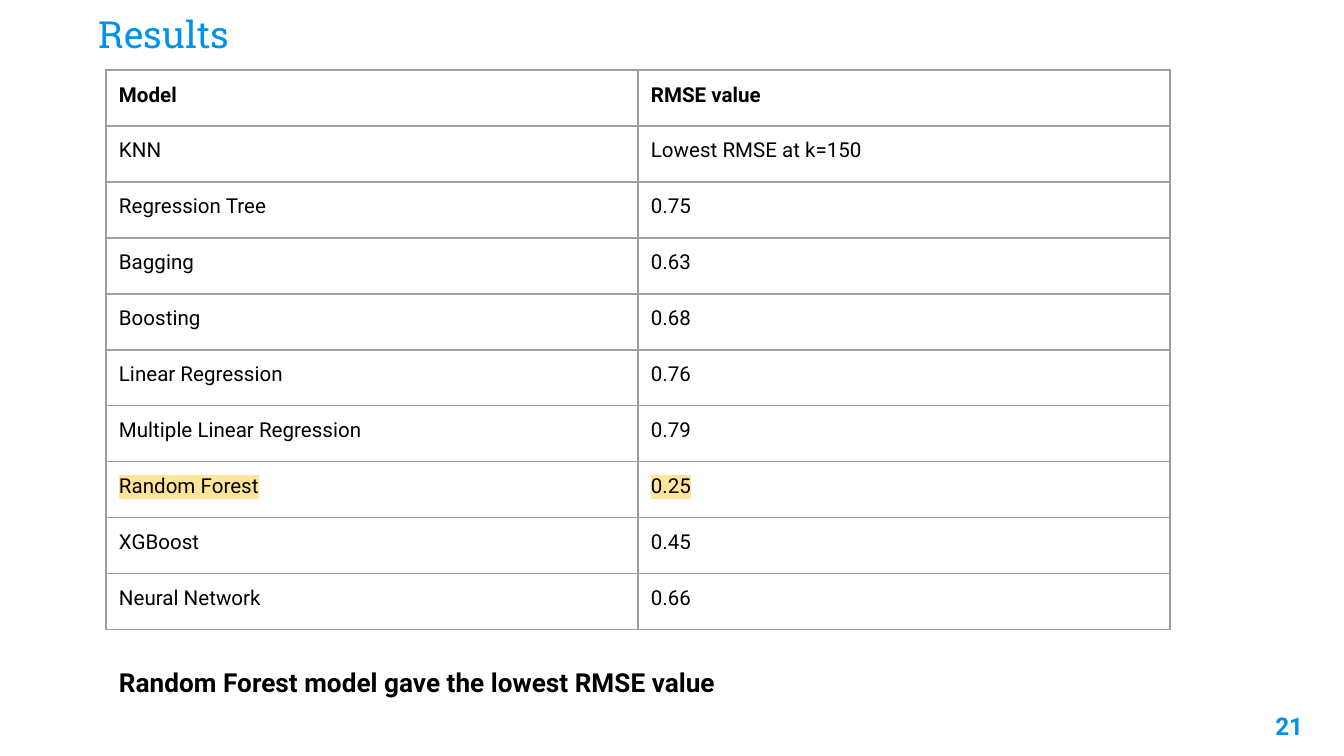
from lxml.etree import SubElement
from pptx import Presentation
from pptx.dml.color import RGBColor
from pptx.enum.text import MSO_ANCHOR, PP_ALIGN
from pptx.oxml.ns import qn
from pptx.util import Pt

PX = 914400 / 134.4
BLUE = RGBColor(0x00, 0x91, 0xEA)
BLACK = RGBColor(0x00, 0x00, 0x00)
GREY = RGBColor(0x9E, 0x9E, 0x9E)
YELLOW = RGBColor(0xFF, 0xE5, 0x99)
PAD = 13
ROW, COL = 56, 532

ROWS = [
    ("Model", "RMSE value"),
    ("KNN", "Lowest RMSE at k=150"),
    ("Regression Tree", "0.75"),
    ("Bagging", "0.63"),
    ("Boosting", "0.68"),
    ("Linear Regression", "0.76"),
    ("Multiple Linear Regression", "0.79"),
    ("Random Forest", "0.25"),
    ("XGBoost", "0.45"),
    ("Neural Network", "0.66"),
]
BEST = "Random Forest"


def px(n):
    return round(n * PX)


def write(item, text, size, color, bold=False, font="Roboto"):
    """Fill a text box or cell with one styled run and pad its sides."""
    frame = item.text_frame
    frame.text = text
    frame.word_wrap = True
    for side in ("left", "right", "top", "bottom"):
        setattr(item if hasattr(item, "margin_left") else frame,
                f"margin_{side}", px(PAD))
    run = frame.paragraphs[0].runs[0]
    run.font.name = font
    run.font.size = Pt(size)
    run.font.bold = bold
    run.font.color.rgb = color
    return run


deck = Presentation()
deck.slide_width, deck.slide_height = px(1344), px(756)
slide = deck.slides.add_slide(deck.slide_layouts[6])
shapes = slide.shapes

# Title and page number
title = shapes.add_textbox(px(86), px(-34), px(1113), px(103))
write(title, "Results", 20, BLUE, font="Roboto Slab")
title.text_frame.vertical_anchor = MSO_ANCHOR.BOTTOM

page = shapes.add_textbox(px(1235), px(698), px(81), px(58))
write(page, "21", 13, BLUE, bold=True)
page.text_frame.paragraphs[0].alignment = PP_ALIGN.RIGHT

# Table of models
table = shapes.add_table(len(ROWS), 2, px(106), px(70),
                         px(2 * COL), px(len(ROWS) * ROW)).table
for col in table.columns:
    col.width = px(COL)
for r, row in enumerate(ROWS):
    table.rows[r].height = px(ROW)
    for c, text in enumerate(row):
        cell = table.cell(r, c)
        run = write(cell, text, 11, BLACK, bold=r == 0)
        if row[0] == BEST:
            props = run.font.fill._xPr
            mark = SubElement(props, qn("a:highlight"))
            SubElement(mark, qn("a:srgbClr"), val=str(YELLOW))
            props.find(qn("a:solidFill")).addnext(mark)
        cell.fill.background()
        props = cell._tc.get_or_add_tcPr()
        for i, side in enumerate("LRTB"):
            line = SubElement(props, qn(f"a:ln{side}"), w=str(Pt(0.75)))
            fill = SubElement(line, qn("a:solidFill"))
            SubElement(fill, qn("a:srgbClr"), val=str(GREY))
            props.insert(i, line)

# Conclusion
note = shapes.add_textbox(px(106), px(653), px(1072), px(59))
write(note, "Random Forest model gave the lowest RMSE value", 14, BLACK, bold=True)

deck.save("out.pptx")
